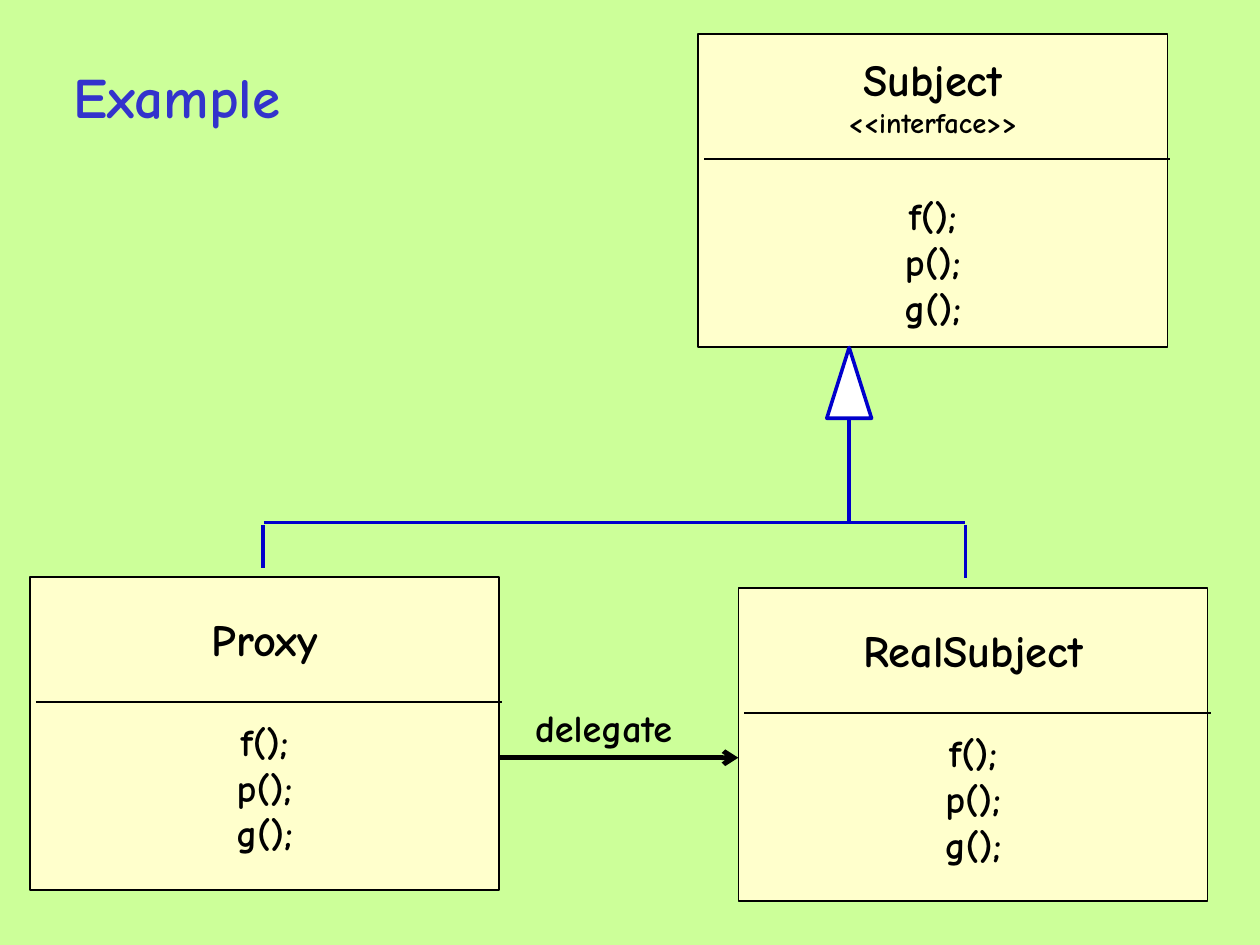
import pptx
import pptx.util
import pptx.dml.color
import pptx.enum.shapes
import pptx.enum.text
import pptx.oxml

Pt = pptx.util.Pt
RGBColor = pptx.dml.color.RGBColor
SHAPE = pptx.enum.shapes.MSO_SHAPE
ALIGN = pptx.enum.text.PP_ALIGN
ANCHOR = pptx.enum.text.MSO_ANCHOR

FONT = "Comic Neue"
GREEN = RGBColor(0xCC, 0xFF, 0x99)
CREAM = RGBColor(0xFF, 0xFF, 0xCC)
WHITE = RGBColor(0xFF, 0xFF, 0xFF)
BLACK = RGBColor(0, 0, 0)
BLUE = RGBColor(0, 0, 0xCC)
TITLE_BLUE = RGBColor(0x33, 0x33, 0xCC)

CLASS_W, CLASS_H = 295.7, 197
METHODS = ("f();", "p();", "g();")


def write(p, text, size=24, color=BLACK, align=ALIGN.CENTER, before=0):
    p.alignment = align
    p.space_before = Pt(before)
    r = p.add_run()
    r.text = text
    r.font.name = FONT
    r.font.size = Pt(size)
    r.font.bold = True
    r.font.color.rgb = color


def set_insets(tf, x, y):
    tf.margin_left = tf.margin_right = Pt(x)
    tf.margin_top = tf.margin_bottom = Pt(y)


def add_line(shapes, x1, y1, x2, y2, color=BLACK, width=1.0, arrow=False):
    line = shapes.add_connector(
        pptx.enum.shapes.MSO_CONNECTOR.STRAIGHT, Pt(x1), Pt(y1), Pt(x2), Pt(y2))
    line.line.color.rgb = color
    line.line.width = Pt(width)
    if arrow:
        tail = pptx.oxml.parse_xml(
            '<a:tailEnd xmlns:a="http://schemas.openxmlformats.org/drawingml/2006/main"'
            ' type="arrow"/>')
        line.line._get_or_add_ln().append(tail)
    line._element.spPr.append(pptx.oxml.parse_xml(
        '<a:effectLst xmlns:a="http://schemas.openxmlformats.org/drawingml/2006/main"/>'))
    return line


def add_outlined(shapes, kind, x, y, w, h, fill, color, width):
    sp = shapes.add_shape(kind, Pt(x), Pt(y), Pt(w), Pt(h))
    sp.shadow.inherit = False
    sp.fill.solid()
    sp.fill.fore_color.rgb = fill
    sp.line.color.rgb = color
    sp.line.width = Pt(width)
    return sp


def add_title(s, x, y, w, h):
    title = s.shapes.title
    title.left, title.top, title.width, title.height = Pt(x), Pt(y), Pt(w), Pt(h)
    tf = title.text_frame
    tf.word_wrap = True
    tf.auto_size = pptx.enum.text.MSO_AUTO_SIZE.NONE
    tf.vertical_anchor = ANCHOR.BOTTOM
    set_insets(tf, 8, 4)
    p = tf.paragraphs[0]
    p.line_spacing = 0.88
    write(p, "Example", size=36, color=TITLE_BLUE)


def add_class(s, x, y, name, stereotype=None):
    shapes = s.shapes.add_group_shape().shapes
    sp = add_outlined(shapes, SHAPE.RECTANGLE, x, y, CLASS_W, CLASS_H, CREAM, BLACK, 1)
    tf = sp.text_frame
    tf.word_wrap = False
    tf.vertical_anchor = ANCHOR.MIDDLE
    set_insets(tf, 8, 3.6)
    write(tf.paragraphs[0], name, size=28)
    if stereotype:
        write(tf.add_paragraph(), stereotype, size=18)
    for i, method in enumerate(METHODS):
        write(tf.add_paragraph(), method, before=0 if i else 33.6)
    add_line(shapes, x + 3.8, y + 78.5, x + CLASS_W + 1.8, y + 78.5)


def add_inheritance(s, x, y, w):
    branches = s.shapes.add_group_shape().shapes
    add_line(branches, x + 0.7, y, x + w - 0.7, y, BLUE, 2.25)
    add_line(branches, x + w, y + 1.5, x + w, y + 35.3, BLUE, 2.25)
    add_line(branches, x, y + 1.5, x, y + 28.8, BLUE, 2.25)

    stem = s.shapes.add_group_shape().shapes
    center, tip_w, tip_h = x + 369.3, 28.2, 44.6
    top = y - 110.2
    add_outlined(stem, SHAPE.ISOSCELES_TRIANGLE, center - tip_w / 2, top,
                 tip_w, tip_h, WHITE, BLUE, 2.25)
    add_line(stem, center, top + tip_h, center, y, BLUE, 2.25)


def add_delegation(s, x, y, w):
    add_line(s.shapes, x, y, x + w, y, width=3, arrow=True)
    box = s.shapes.add_textbox(Pt(x + 14), Pt(y - 37.4), Pt(113.8), Pt(36.7))
    tf = box.text_frame
    tf.word_wrap = False
    set_insets(tf, 8, 3.6)
    write(tf.paragraphs[0], "delegate", align=ALIGN.LEFT)


def main():
    prs = pptx.Presentation()
    prs.slide_width, prs.slide_height = Pt(793.7), Pt(595.28)
    s = prs.slides.add_slide(prs.slide_layouts[5])
    s.background.fill.solid()
    s.background.fill.fore_color.rgb = GREEN

    add_class(s, 439.7, 21.6, "Subject", "<<interface>>")
    add_class(s, 465.1, 370.6, "RealSubject")
    add_class(s, 18.8, 363.6, "Proxy")
    add_delegation(s, 315.1, 477.3, 150)
    add_inheritance(s, 165.6, 329.1, 442.7)
    add_title(s, 21.6, 6.4, 180, 80)
    prs.save("out.pptx")


if __name__ == "__main__":
    main()
